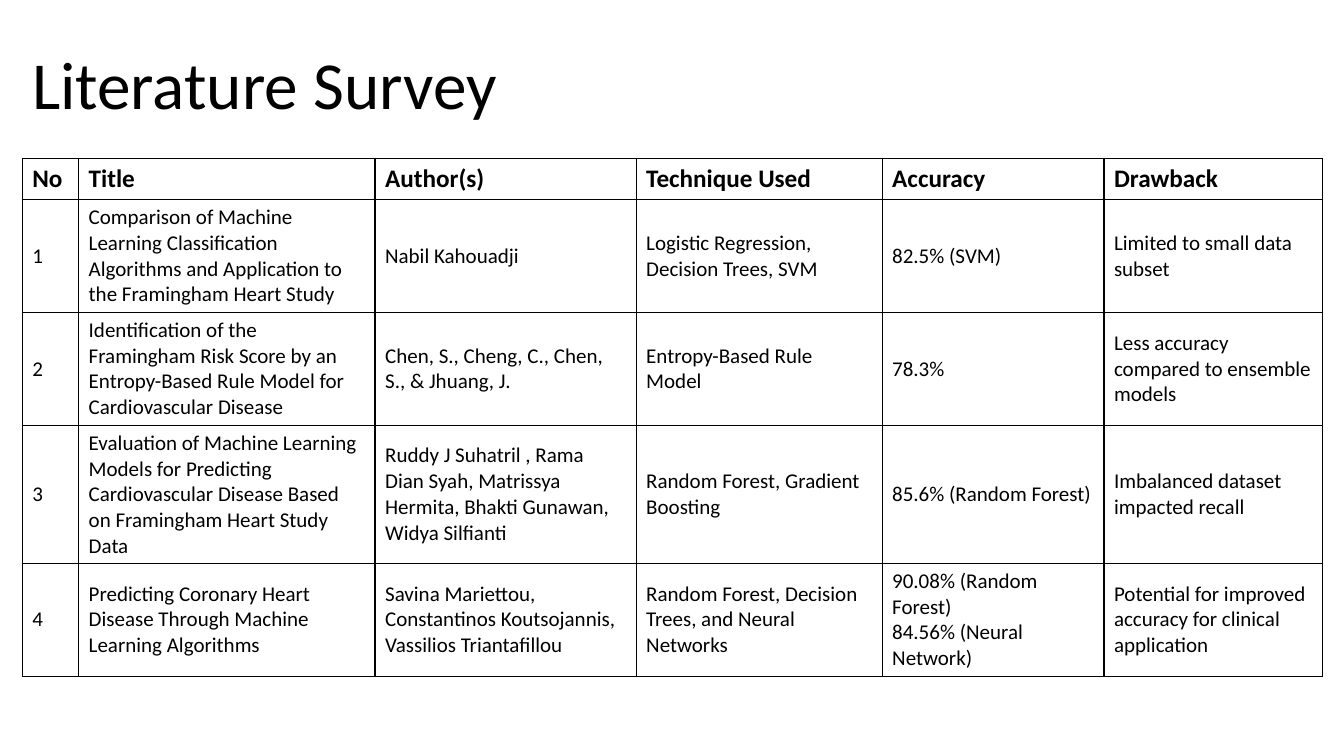
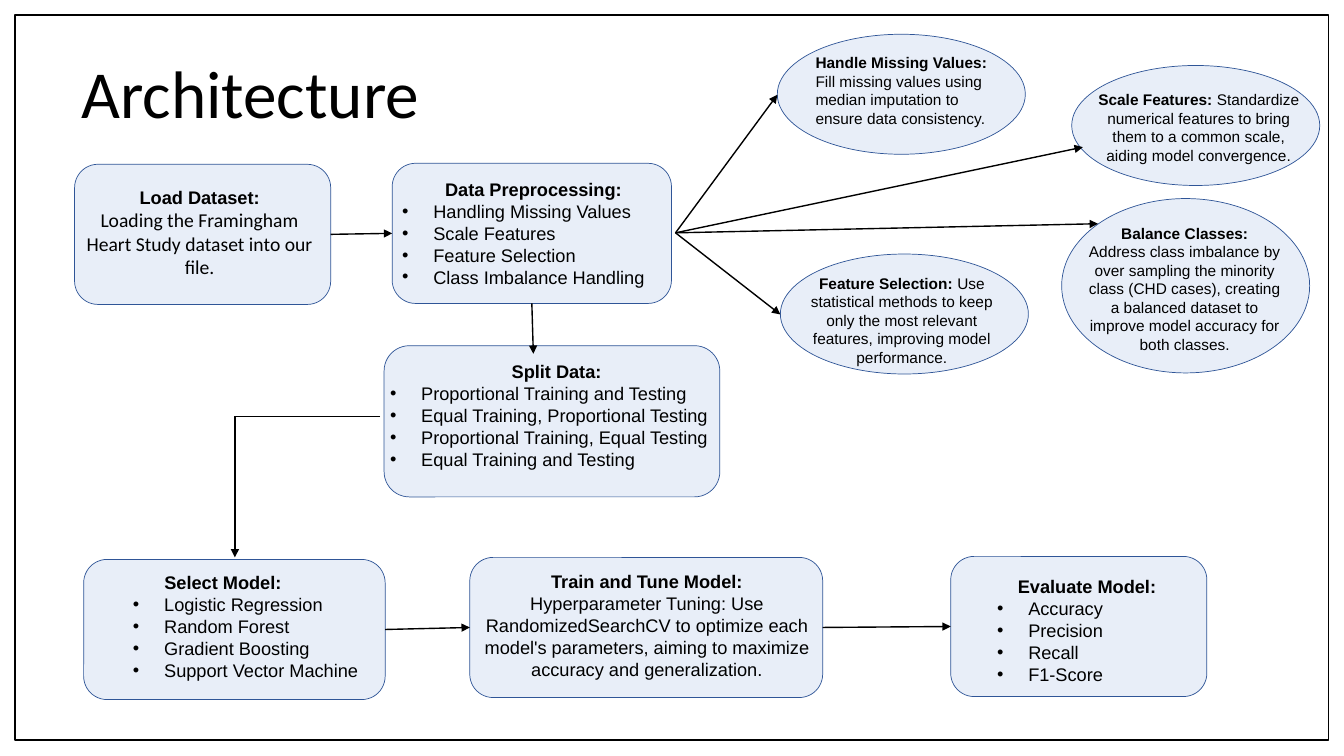
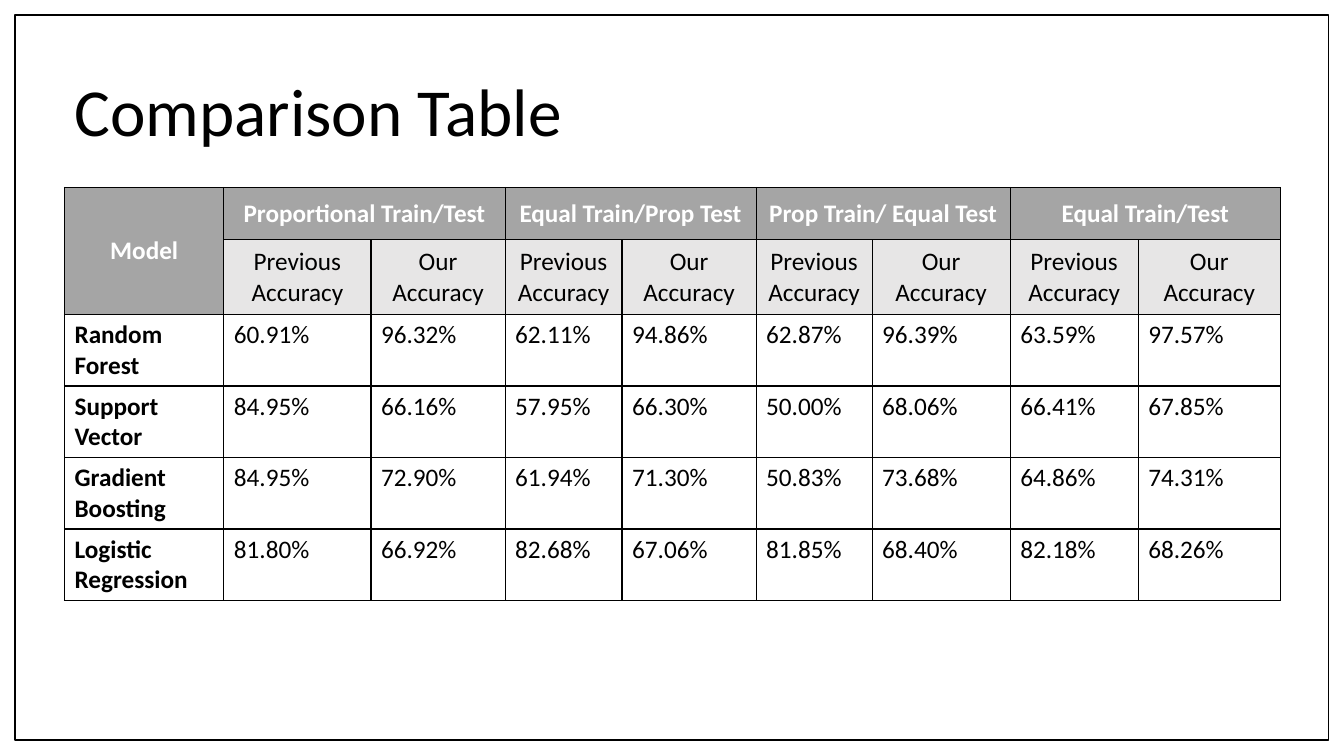
from dataclasses import dataclass

from lxml import etree
from pptx import Presentation
from pptx.dml.color import RGBColor
from pptx.enum.shapes import MSO_CONNECTOR, MSO_SHAPE
from pptx.enum.text import MSO_ANCHOR, PP_ALIGN
from pptx.oxml.ns import qn
from pptx.util import Inches, Pt

STRAIGHT = MSO_CONNECTOR.STRAIGHT
RECTANGLE, ROUNDED, ELLIPSE = MSO_SHAPE.RECTANGLE, MSO_SHAPE.ROUNDED_RECTANGLE, MSO_SHAPE.OVAL
TOP, MIDDLE, BOTTOM = MSO_ANCHOR.TOP, MSO_ANCHOR.MIDDLE, MSO_ANCHOR.BOTTOM
LEFT, CENTER = PP_ALIGN.LEFT, PP_ALIGN.CENTER
LEFT_SITE, BOTTOM_SITE, RIGHT_SITE = 1, 2, 3


@dataclass(frozen=True)
class Theme:
    ink: str = "000000"
    paper: str = "FFFFFF"
    node_fill: str = "8FAADC"
    node_alpha: int = 20
    node_line: str = "2F5597"
    header: str = "A5A5A5"
    subheader: str = "E7E6E6"
    body_font: str = "Calibri"
    node_font: str = "Arial"
    title_size: int = 48
    header_size: int = 18
    cell_size: int = 15
    stage_size: int = 13
    prose_size: int = 14
    detail_size: int = 11
    thin: float = 0.5
    line: float = 1
    bullet_indent: float = 0.31


THEME = Theme()

SURVEY = [
    ["No", "Title", "Author(s)", "Technique Used", "Accuracy", "Drawback"],
    ["1", "Comparison of Machine Learning Classification Algorithms and Application to "
     "the Framingham Heart Study", "Nabil Kahouadji",
     "Logistic Regression, Decision Trees, SVM", "82.5% (SVM)", "Limited to small data subset"],
    ["2", "Identification of the Framingham Risk Score by an Entropy-Based Rule Model for "
     "Cardiovascular Disease", "Chen, S., Cheng, C., Chen, S., & Jhuang, J.",
     "Entropy-Based Rule Model", "78.3%", "Less accuracy compared to ensemble models"],
    ["3", "Evaluation of Machine Learning Models for Predicting Cardiovascular Disease "
     "Based on Framingham Heart Study Data",
     "Ruddy J Suhatril , Rama Dian Syah, Matrissya Hermita, Bhakti Gunawan, Widya Silfianti",
     "Random Forest, Gradient Boosting", "85.6% (Random Forest)",
     "Imbalanced dataset impacted recall"],
    ["4", "Predicting Coronary Heart Disease Through Machine Learning Algorithms",
     "Savina Mariettou, Constantinos Koutsojannis, Vassilios Triantafillou",
     "Random Forest, Decision Trees, and Neural Networks",
     "90.08% (Random Forest)\n84.56% (Neural Network)",
     "Potential for improved accuracy for clinical application"],
]

SPLITS = ["Proportional Train/Test", "Equal Train/Prop Test",
          "Prop Train/ Equal Test", "Equal Train/Test"]
RESULTS = {
    "Random Forest": "60.91% 96.32% 62.11% 94.86% 62.87% 96.39% 63.59% 97.57%",
    "Support Vector": "84.95% 66.16% 57.95% 66.30% 50.00% 68.06% 66.41% 67.85%",
    "Gradient Boosting": "84.95% 72.90% 61.94% 71.30% 50.83% 73.68% 64.86% 74.31%",
    "Logistic Regression": "81.80% 66.92% 82.68% 67.06% 81.85% 68.40% 82.18% 68.26%",
}

# Stages: name, shape box, label box, heading, prose or bullet list, bullet level
STAGES = [
    ("load", (0.74, 1.63, 2.54, 1.39), (0.71, 1.8, 2.54, 1.03), "Load Dataset:",
     "Loading the Framingham Heart Study dataset into our file.", 0),
    ("prepare", (3.89, 1.62, 2.77, 1.39), (3.89, 1.72, 2.8, 1.19), "Data Preprocessing:",
     ["Handling Missing Values", "Scale Features", "Feature Selection",
      "Class Imbalance Handling"], 0),
    ("split", (3.81, 3.43, 3.33, 1.5), (3.77, 3.53, 3.5, 1.19), "Split Data:",
     ["Proportional Training and Testing", "Equal Training, Proportional Testing",
      "Proportional Training, Equal Testing", "Equal Training and Testing"], 0),
    ("select", (0.83, 5.55, 2.99, 1.39), (0.72, 5.62, 2.98, 1.19), "Select Model:",
     ["Logistic Regression", "Random Forest", "Gradient Boosting",
      "Support Vector Machine"], 1),
    ("train", (4.66, 5.53, 3.5, 1.39), (4.48, 5.61, 3.87, 1.41), "Train and Tune Model:",
     "Hyperparameter Tuning: Use RandomizedSearchCV to optimize each model's parameters, "
     "aiming to maximize accuracy and generalization.", 0),
    ("evaluate", (9.43, 5.52, 2.54, 1.39), (9.29, 5.66, 2.98, 1.19), "Evaluate Model:",
     ["Accuracy", "Precision", "Recall", "F1-Score"], 1),
]

# Details: shape box, label box, heading, joint, prose, alignment, arrow tip
DETAILS = [
    ((7.71, 0.34, 2.46, 1.19), (7.99, 0.48, 1.91, 1.03), "Handle Missing Values:", " ",
     "Fill missing values using median imputation to ensure data consistency.",
     LEFT, (7.71, 0.94)),
    ((7.74, 2.52, 2.46, 1.19), (7.82, 2.67, 2.25, 1.03), "Feature Selection:", " ",
     "Use statistical methods to keep only the most relevant features, improving model "
     "performance.", CENTER, (7.74, 3.12)),
    ((10.63, 0.65, 2.46, 1.19), (10.78, 0.85, 2.22, 0.84), "Scale Features:", " ",
     "Standardize numerical features to bring them to a common scale, aiding model "
     "convergence.", CENTER, (10.74, 1.46)),
    ((10.53, 1.97, 2.46, 1.73), (10.64, 2.17, 2.22, 1.4), "Balance Classes:", "\n",
     "Address class imbalance by over sampling the minority class (CHD cases), creating a "
     "balanced dataset to improve model accuracy for both classes.", CENTER, (10.89, 2.22)),
]


def color(value):
    return RGBColor.from_string(value)


def lengths(box):
    return [Inches(value) for value in box]


def style(span, size, font=THEME.body_font, ink=THEME.ink, bold=False):
    span.font.size = Pt(size)
    span.font.name = font
    span.font.color.rgb = color(ink)
    span.font.bold = bold


def add_span(para, text, *args, **kwargs):
    span = para.add_run()
    span.text = text
    style(span, *args, **kwargs)


def add_bullet(para, level):
    para.level = level
    properties = para._p.get_or_add_pPr()
    properties.set("marL", str(Inches(THEME.bullet_indent + 0.5 * level)))
    properties.set("indent", str(-Inches(THEME.bullet_indent)))
    etree.SubElement(properties, qn("a:buFont"), typeface=THEME.node_font)
    etree.SubElement(properties, qn("a:buChar"), char="•")


# Shared parts
def add_label(page, box):
    label = page.shapes.add_textbox(*lengths(box))
    label.text_frame.word_wrap = True
    return label.text_frame


def add_title(page, box, text):
    frame = add_label(page, box)
    frame.vertical_anchor = MIDDLE
    frame.text = text
    para = frame.paragraphs[0]
    para.line_spacing = 0.9
    style(para.runs[0], THEME.title_size)


def add_outline(page, kind, box, fill, line, width, alpha=100):
    shape = page.shapes.add_shape(kind, *lengths(box))
    shape.shadow.inherit = False
    shape.fill.solid()
    shape.fill.fore_color.rgb = color(fill)
    shape.line.color.rgb = color(line)
    shape.line.width = Pt(width)
    if alpha < 100:
        fill_color = shape._element.spPr.find(qn("a:solidFill"))[0]
        etree.SubElement(fill_color, qn("a:alpha"), val=str(alpha * 1000))
    return shape


def add_frame(page):
    add_outline(page, RECTANGLE, (0.15, 0.15, 13.03, 7.19), THEME.paper, THEME.ink, THEME.line)


def add_node(page, kind, box):
    return add_outline(page, kind, box, THEME.node_fill, THEME.node_line, THEME.thin,
                       THEME.node_alpha)


def add_line(page, start, end, width=THEME.line, arrow=True):
    line = page.shapes.add_connector(STRAIGHT, *lengths(start + end))
    line.line.color.rgb = color(THEME.ink)
    line.line.width = Pt(width)
    if arrow:
        etree.SubElement(line.line._get_or_add_ln(), qn("a:tailEnd"), type="triangle")
    etree.SubElement(line._element.spPr, qn("a:effectLst"))
    return line


def add_link(page, source, target):
    line = add_line(page, (0, 0), (1, 1))
    line.begin_connect(source, RIGHT_SITE)
    line.end_connect(target, LEFT_SITE)


# Tables
def add_grid(page, left, top, widths, heights):
    box = (left, top, sum(widths), sum(heights))
    holder = page.shapes.add_table(len(heights), len(widths), *lengths(box))
    grid = holder.table
    grid.first_row = grid.horz_banding = False
    for column, width in zip(grid.columns, widths):
        column.width = Inches(width)
    for row, height in zip(grid.rows, heights):
        row.height = Inches(height)
    return grid


def fill_cell(cell, text, size, anchor, align=LEFT, fill=THEME.paper, ink=THEME.ink, bold=False):
    cell.text = text
    cell.vertical_anchor = anchor
    for para in cell.text_frame.paragraphs:
        para.alignment = align
        for span in para.runs:
            style(span, size, ink=ink, bold=bold)
    properties = cell._tc.get_or_add_tcPr()
    for side in ("a:lnL", "a:lnR", "a:lnT", "a:lnB"):
        border = etree.SubElement(properties, qn(side), w=str(Pt(THEME.line)))
        paint = etree.SubElement(border, qn("a:solidFill"))
        etree.SubElement(paint, qn("a:srgbClr"), val=THEME.ink)
    cell.fill.solid()
    cell.fill.fore_color.rgb = color(fill)


def add_survey_table(page, left, top):
    grid = add_grid(page, left, top, [0.56, 2.94, 2.59, 2.44, 2.2, 2.17],
                    [0.41, 1.12, 1.12, 1.37, 1.12])
    for row, texts in enumerate(SURVEY):
        for column, text in enumerate(texts):
            if row == 0:
                fill_cell(grid.cell(row, column), text, THEME.header_size, BOTTOM, bold=True)
            else:
                fill_cell(grid.cell(row, column), text, THEME.cell_size, MIDDLE)


def add_comparison_table(page, left, top):
    grid = add_grid(page, left, top, [1.58, 1.46, 1.33, 1.16, 1.33, 1.15, 1.37, 1.27, 1.41],
                    [0.52, 0.74] + [0.71] * len(RESULTS))
    size = THEME.header_size
    # Two header rows
    groups = ["Model"] + [text for split in SPLITS for text in (split, "")]
    measures = [""] + ["Previous Accuracy", "Our Accuracy"] * len(SPLITS)
    for column, (group, measure) in enumerate(zip(groups, measures)):
        fill_cell(grid.cell(0, column), group, size, MIDDLE, CENTER,
                  THEME.header, THEME.paper, True)
        fill_cell(grid.cell(1, column), measure, size, MIDDLE, CENTER, THEME.subheader)
    grid.cell(0, 0).merge(grid.cell(1, 0))
    for column in range(1, len(groups), 2):
        grid.cell(0, column).merge(grid.cell(0, column + 1))
    # One row for each model
    for row, (model, values) in enumerate(RESULTS.items(), start=2):
        for column, text in enumerate([model] + values.split()):
            fill_cell(grid.cell(row, column), text, size, TOP, bold=column == 0)


# Architecture diagram
def add_stage(page, box, label_box, heading, content, level):
    shape = add_node(page, ROUNDED, box)
    frame = add_label(page, label_box)
    para = frame.paragraphs[0]
    para.alignment = CENTER
    add_span(para, heading, THEME.stage_size, THEME.node_font, bold=True)
    if isinstance(content, str):
        para = frame.add_paragraph()
        para.alignment = CENTER
        first = heading.startswith("Load")
        size = THEME.prose_size if first else THEME.stage_size
        add_span(para, content, size, THEME.body_font if first else THEME.node_font)
    else:
        for item in content:
            para = frame.add_paragraph()
            add_bullet(para, level)
            add_span(para, item, THEME.stage_size, THEME.node_font)
    return shape


def add_detail(page, box, label_box, heading, joint, prose, align):
    add_node(page, ELLIPSE, box)
    frame = add_label(page, label_box)
    frame.text = heading + joint if joint == " " else heading
    first = frame.paragraphs[0]
    style(first.runs[0], THEME.detail_size, THEME.node_font, bold=True)
    para = first if joint == " " else frame.add_paragraph()
    add_span(para, prose, THEME.detail_size, THEME.node_font)
    for para in frame.paragraphs:
        para.alignment = align


def add_diagram(page):
    stages = {name: add_stage(page, *parts) for name, *parts in STAGES}
    for *parts, tip in DETAILS:
        add_detail(page, *parts)
        add_line(page, (6.7, 2.31), tip)
    for source, target in (("load", "prepare"), ("select", "train"), ("train", "evaluate")):
        add_link(page, stages[source], stages[target])
    down = add_line(page, (5.28, 3.01), (5.29, 3.51))
    down.begin_connect(stages["prepare"], BOTTOM_SITE)
    # Bent path from the split to the model choice
    corner = (2.33, 4.13)
    add_line(page, (3.77, 4.13), corner, THEME.thin, arrow=False)
    add_line(page, corner, (2.33, 5.53))


# Slides
def survey_slide(page):
    add_title(page, (0.22, 0.15, 11.5, 1.45), "Literature Survey")
    add_survey_table(page, 0.22, 1.57)


def architecture_slide(page):
    add_frame(page)
    add_title(page, (0.71, 0.23, 4.15, 1.45), "Architecture")
    add_diagram(page)


def comparison_slide(page):
    add_frame(page)
    add_title(page, (0.64, 0.41, 11.5, 1.45), "Comparison Table")
    add_comparison_table(page, 0.64, 1.86)


def main():
    deck = Presentation()
    deck.slide_width, deck.slide_height = Inches(13.33), Inches(7.5)
    blank = deck.slide_layouts[6]
    for build in (survey_slide, architecture_slide, comparison_slide):
        build(deck.slides.add_slide(blank))
    deck.save("out.pptx")


if __name__ == "__main__":
    main()
